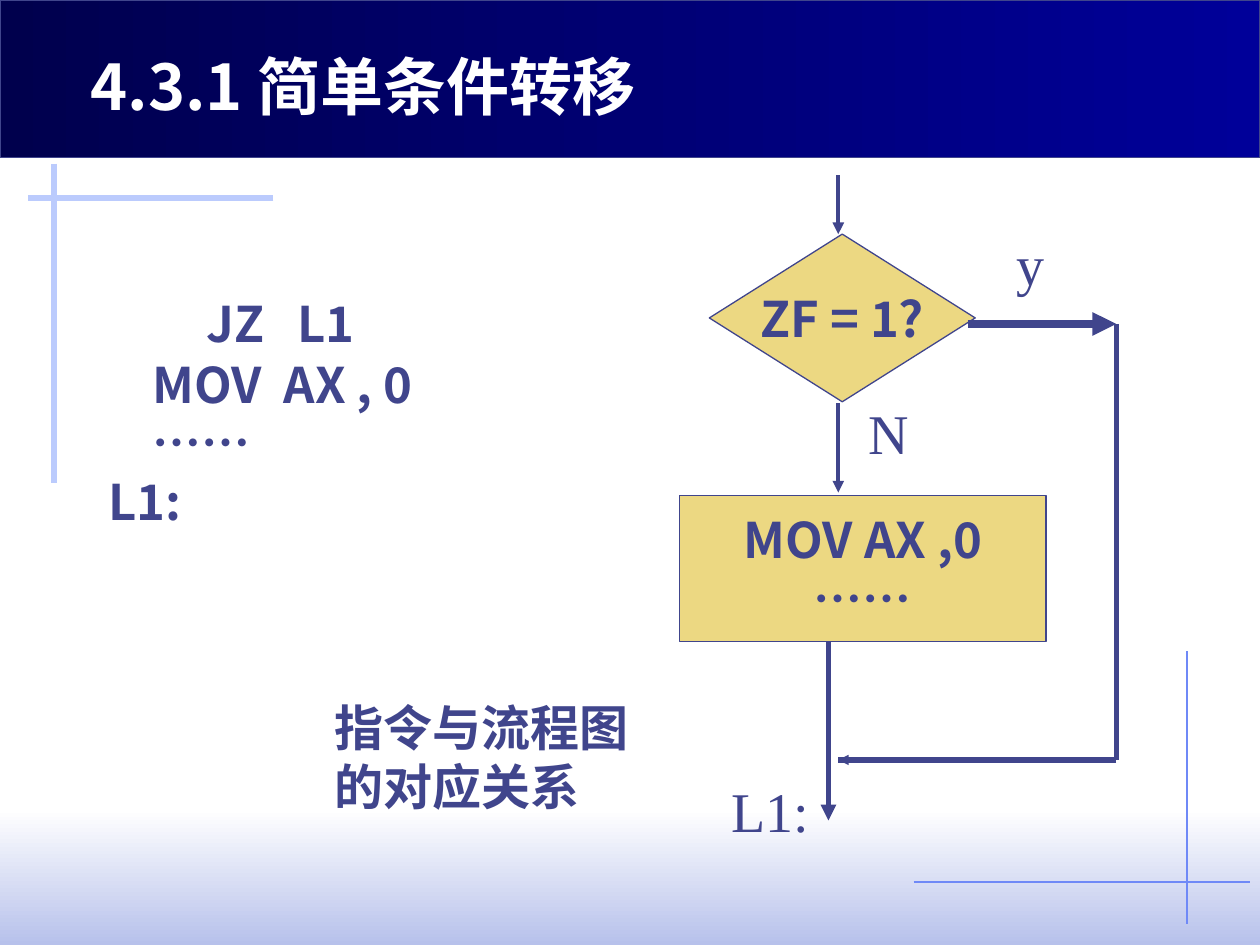
"""Build the slide on simple conditional jumps, with code and its flowchart."""
from lxml import etree
from pptx import Presentation
from pptx import util as u
from pptx.dml.color import RGBColor
from pptx.enum import shapes, text
from pptx.oxml.ns import qn

THEME = {
    "ink": "40458C", "box": "ECD882", "white": "FFFFFF", "pale": "BBCBFD", "thin": "6F89F7",
    "bar": ("00004D", "000099"), "footer": ("FFFFFF", "B7C1EB"),
    "sans": "Noto Sans CJK SC", "heading": "Noto Sans CJK JP", "serif": "Times New Roman",
    "title": 36, "label": 32, "body": 28,
}

TITLE = ("4.3.1 简单条件转移", (1.57, 0.84, 13, 1.78))
BANDS = [((0, 16.31, 25.4, 2.74), "footer", 270, None),
         ((0, 0, 25.4, 3.18), "bar", 0, "ink")]
RULES = [((23.93, 13.13), (23.93, 18.62), "thin", 0.75),
         ((18.42, 17.78), (25.2, 17.78), "thin", 0.75),
         ((5.51, 3.99), (0.56, 3.99), "pale", 3),
         ((1.09, 3.3), (1.09, 9.73), "pale", 3)]
CODE = (["JZ   L1", "    MOV  AX , 0", "    ……", "L1:"], (1.93, 5.66, 9.4, 5.18))
CODE_INDENT = "       "
STEPS = [(shapes.MSO_SHAPE.DIAMOND, (14.3, 4.72, 5.36, 3.38), ["ZF = 1?"]),
         (shapes.MSO_SHAPE.RECTANGLE, (13.7, 9.99, 7.39, 2.94), ["MOV AX ,0", "……"])]
MAIN_X, EXIT_X, BYPASS_X = 16.9, 16.7, 22.5
BRANCH_Y, JOIN_Y = 6.53, 15.32
FLOWS = [((MAIN_X, 3.53), (MAIN_X, 4.72), 2.25, True),
         ((MAIN_X, 8.13), (MAIN_X, 9.93), 2.25, True),
         ((19.51, BRANCH_Y), (BYPASS_X, BRANCH_Y), 4.5, True),
         ((BYPASS_X, BRANCH_Y), (BYPASS_X, JOIN_Y), 3, False),
         ((BYPASS_X, JOIN_Y), (MAIN_X, JOIN_Y), 3, False),
         ((18.69, JOIN_Y), (MAIN_X, JOIN_Y), 0.75, True),
         ((EXIT_X, 12.93), (EXIT_X, 16.54), 3, True)]
LABELS = [("N", (17.25, 7.9, 1.32, 1.63)),
          ("y", (20.24, 4.5, 1.07, 1.63)),
          ("L1:", (14.5, 15.52, 2.08, 1.63))]
NOTE = ("指令与流程图的对应关系", (6.5, 13.93, 7.01, 2.64))


def rgb(name):
    return RGBColor.from_string(THEME[name])


def cm(values):
    return [u.Cm(value) for value in values]


def write(box, lines, size, face, east="sans", color="ink", bold=True, wrap=False,
          align=text.PP_ALIGN.LEFT, anchor=text.MSO_ANCHOR.TOP):
    frame = box.text_frame
    frame.word_wrap = wrap
    frame.vertical_anchor = anchor
    frame.text = "\n".join(lines)
    for para in frame.paragraphs:
        para.alignment = align
        font = para.font
        font.size, font.bold, font.name = u.Pt(THEME[size]), bold, THEME[face]
        font.color.rgb = rgb(color)
    for defaults in box.element.iter(qn("a:defRPr")):
        etree.SubElement(defaults, qn("a:ea"), typeface=THEME[east])
    return frame


def add_text(page, lines, place, size, face, **style):
    box = page.shapes.add_textbox(*cm(place))
    frame = write(box, lines, size, face, **style)
    frame.auto_size = text.MSO_AUTO_SIZE.SHAPE_TO_FIT_TEXT
    return frame


def add_band(page, place, colors, angle, outline):
    band = page.shapes.add_shape(shapes.MSO_SHAPE.RECTANGLE, *cm(place))
    band.shadow.inherit = False
    band.fill.gradient()
    band.fill.gradient_angle = angle
    for stop, color in zip(band.fill.gradient_stops, THEME[colors]):
        stop.color.rgb = RGBColor.from_string(color)
    if outline:
        band.line.color.rgb, band.line.width = rgb(outline), u.Pt(0.75)
    else:
        band.line.fill.background()


def add_line(page, start, end, color, width, arrow=False):
    line = page.shapes.add_connector(shapes.MSO_CONNECTOR.STRAIGHT, *cm(start + end))
    line.line.color.rgb, line.line.width = rgb(color), u.Pt(width)
    properties = line.element.spPr
    if arrow:
        etree.SubElement(properties.find(qn("a:ln")), qn("a:tailEnd"), type="triangle")
    etree.SubElement(properties, qn("a:effectLst"))


def add_step(page, kind, place, lines):
    step = page.shapes.add_shape(kind, *cm(place))
    step.shadow.inherit = False
    step.fill.solid()
    step.fill.fore_color.rgb = rgb("box")
    step.line.color.rgb, step.line.width = rgb("ink"), u.Pt(0.75)
    write(step, lines, "body", "sans", align=text.PP_ALIGN.CENTER,
          anchor=text.MSO_ANCHOR.MIDDLE)


def add_code(page, lines, place):
    first = add_text(page, lines, place, "body", "sans").paragraphs[0]
    first.clear()
    indent, instruction = first.add_run(), first.add_run()
    indent.text, instruction.text = CODE_INDENT, lines[0]
    indent.font.size, indent.font.name = u.Pt(THEME["label"]), THEME["serif"]


def add_title(page, words, place):
    title = page.shapes.title
    title.left, title.top, title.width, title.height = cm(place)
    frame = write(title, [words], "title", "heading", east="heading", color="white", wrap=True)
    frame.auto_size = text.MSO_AUTO_SIZE.NONE
    page.shapes.element.append(title.element)


def main():
    deck = Presentation()
    deck.slide_width, deck.slide_height = cm((25.4, 19.05))
    page = deck.slides.add_slide(deck.slide_layouts[5])
    for band in BANDS:
        add_band(page, *band)
    for rule in RULES:
        add_line(page, *rule)
    add_code(page, *CODE)
    for step in STEPS:
        add_step(page, *step)
    for start, end, width, arrow in FLOWS:
        add_line(page, start, end, "ink", width, arrow)
    for words, place in LABELS:
        add_text(page, [words], place, "label", "serif", bold=False)
    words, place = NOTE
    add_text(page, [words], place, "body", "serif", wrap=True)
    add_title(page, *TITLE)
    deck.save("out.pptx")


if __name__ == "__main__":
    main()
